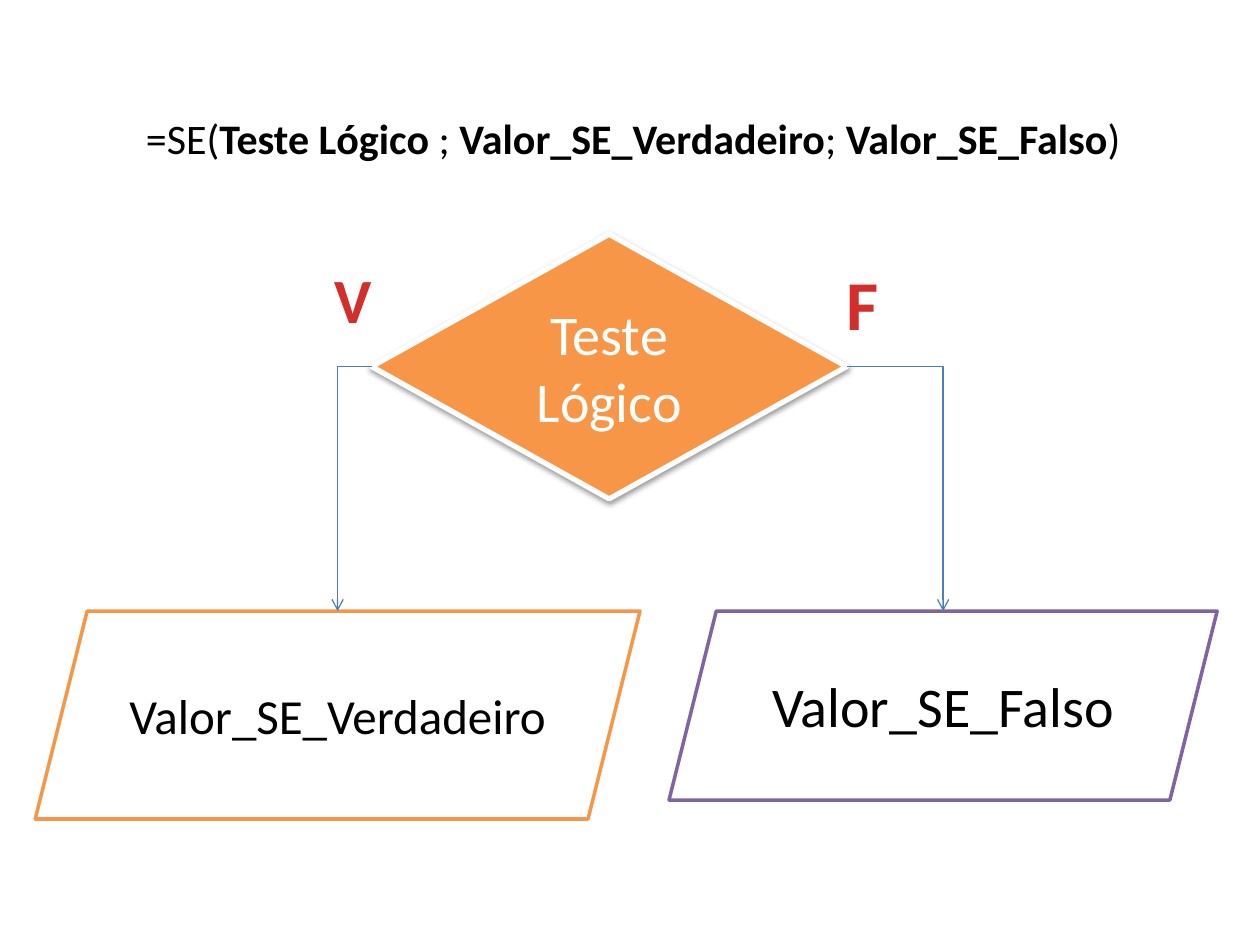
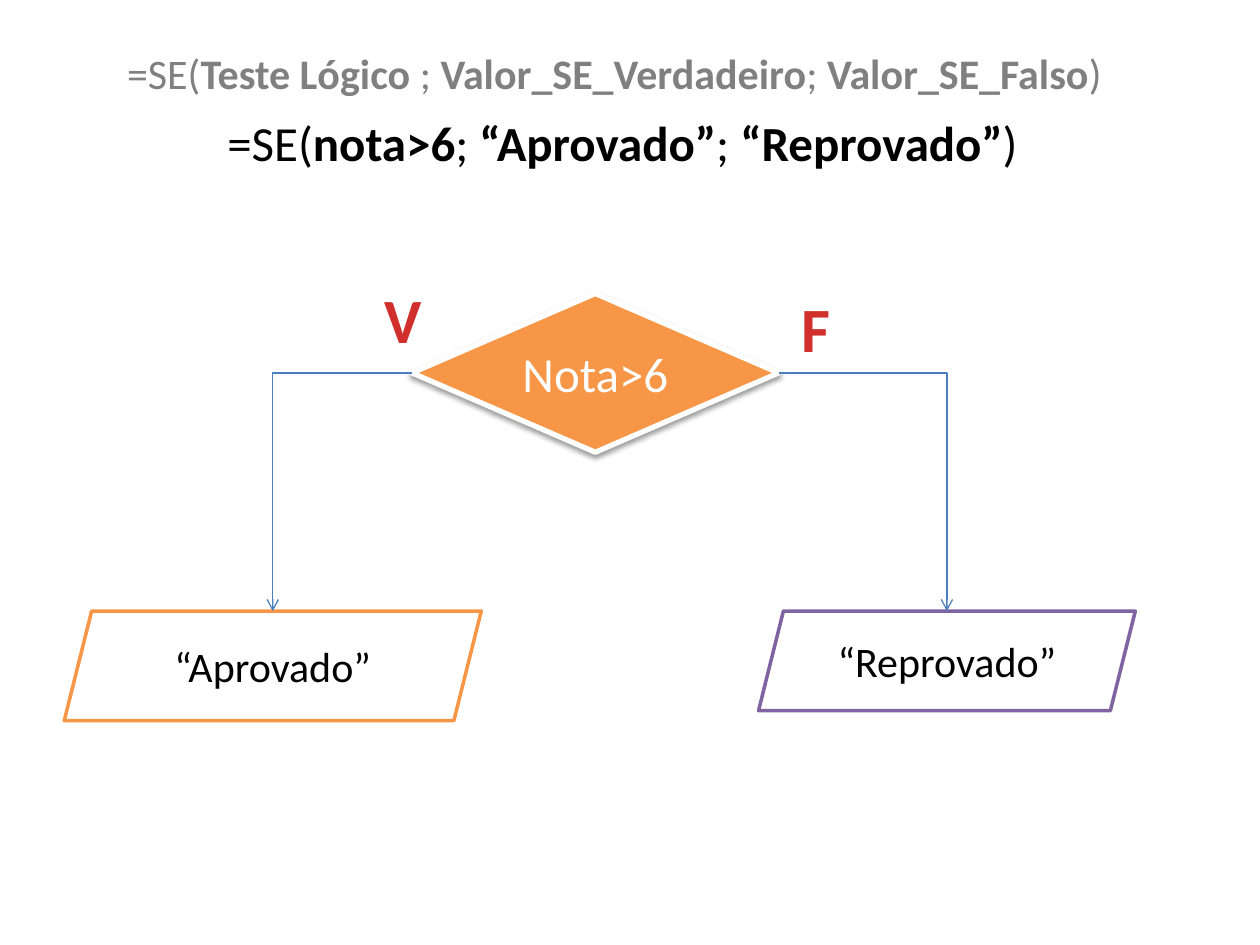
from lxml import etree
from pptx import Presentation
from pptx.dml.color import RGBColor
from pptx.enum.shapes import MSO_CONNECTOR, MSO_SHAPE
from pptx.enum.text import MSO_ANCHOR, MSO_AUTO_SIZE, PP_ALIGN
from pptx.oxml import parse_xml
from pptx.oxml.ns import nsdecls, qn
from pptx.util import Inches, Pt

DECISION, OUTCOME = MSO_SHAPE.FLOWCHART_DECISION, MSO_SHAPE.PARALLELOGRAM
ELBOW = MSO_CONNECTOR.ELBOW
LEFT, CENTER, MIDDLE = PP_ALIGN.LEFT, PP_ALIGN.CENTER, MSO_ANCHOR.MIDDLE
GROW = MSO_AUTO_SIZE.SHAPE_TO_FIT_TEXT
TOP_SITE, LEFT_SITE, RIGHT_SITE = 0, 1, 3

FONT = "Calibri"
COLORS = {"white": "FFFFFF", "black": "000000", "grey": "808080",
          "orange": "F79646", "purple": "8064A2", "arrow": "4B7EBC"}
LABEL_STOPS = [(0, "FC7C7A"), (75, "D02F2C"), (100, "C70500")]

# Content: boxes are left, top, width, height in inches
SYNTAX = ["Teste Lógico ", "Valor_SE_Verdadeiro", "Valor_SE_Falso"]
EXAMPLE = ["nota>6", "“Aprovado”", "“Reprovado”"]
SLIDES = [
    {
        "formulas": [(SYNTAX, (1.06, 0.84, 8.19, 0.5), 24, "black", LEFT)],
        "decision": ("Teste Lógico", (2.95, 1.86, 3.77, 2.1), 32),
        "branches": [
            ("V", (2.56, 2.02, 0.46, 0.71), 36,
             "Valor_SE_Verdadeiro", (0.28, 4.85, 4.8, 1.65), 28),
            ("F", (6.5, 2.02, 0.69, 0.77), 40,
             "Valor_SE_Falso", (5.31, 4.85, 4.35, 1.5), 32),
        ],
    },
    {
        "formulas": [(EXAMPLE, (1.3, 0.84, 7.28, 0.57), 28, "black", CENTER),
                     (SYNTAX, (0.91, 0.33, 8.19, 0.5), 24, "grey", LEFT)],
        "decision": ("Nota>6", (3.27, 2.33, 2.91, 1.26), 28),
        "branches": [
            ("V", (2.95, 2.18, 0.31, 0.71), 36,
             "“Aprovado”", (0.51, 4.85, 3.31, 0.87), 24),
            ("F", (6.26, 2.25, 0.39, 0.71), 36,
             "“Reprovado”", (6.02, 4.85, 2.99, 0.79), 24),
        ],
    },
]
# Exit site of the decision and outline of the outcome, true then false
BRANCH_STYLES = [(LEFT_SITE, "orange"), (RIGHT_SITE, "purple")]


def rgb(name):
    return RGBColor.from_string(COLORS[name])


def inches(box):
    return [Inches(v) for v in box]


def write(sp, runs, size, color=None, align=CENTER):
    """Write (text, bold) runs as one wrapped paragraph."""
    tf = sp.text_frame
    tf.word_wrap = True
    p = tf.paragraphs[0]
    p.alignment = align
    for text, bold in runs:
        r = p.add_run()
        r.text = text
        for name, value in {"name": FONT, "size": Pt(size), "bold": bold}.items():
            setattr(r.font, name, value)
        if color:
            r.font.color.rgb = rgb(color)
    return p


def add_text(s, box, *args):
    sp = s.shapes.add_textbox(*inches(box))
    p = write(sp, *args)
    sp.text_frame.auto_size = GROW
    return p


def add_formula(s, parts, box, size, color, align):
    test, if_true, if_false = parts
    runs = [("=SE(", False), (test, True), ("; ", False), (if_true, True),
            ("; ", False), (if_false, True), (")", False)]
    add_text(s, box, runs, size, color, align)


def add_label(s, text, box, size):
    """Bold letter with a vertical red gradient."""
    p = add_text(s, box, [(text, True)], size)
    stops = "".join(f'<a:gs pos="{pos * 1000}"><a:srgbClr val="{color}"/></a:gs>'
                    for pos, color in LABEL_STOPS)
    fill = parse_xml(f'<a:gradFill {nsdecls("a")}><a:gsLst>{stops}</a:gsLst>'
                     '<a:lin ang="5400000" scaled="0"/></a:gradFill>')
    p.runs[0].font._element.insert(0, fill)


def add_box(s, kind, text, box, size, fill, line, width, color):
    sp = s.shapes.add_shape(kind, *inches(box))
    sp.shadow.inherit = False
    sp.fill.solid()
    sp.fill.fore_color.rgb = rgb(fill)
    sp.line.color.rgb = rgb(line)
    sp.line.width = Pt(width)
    sp.text_frame.vertical_anchor = MIDDLE
    write(sp, [(text, False)], size, color)
    return sp


def add_decision(s, text, box, size):
    sp = add_box(s, DECISION, text, box, size, "orange", "white", 3, "white")
    effects = sp._element.spPr.find(qn("a:effectLst"))
    effects.append(parse_xml(
        f'<a:outerShdw {nsdecls("a")} blurRad="40000" dist="20000" dir="5400000"'
        ' rotWithShape="0"><a:srgbClr val="000000"><a:alpha val="38000"/>'
        '</a:srgbClr></a:outerShdw>'))
    return sp


def add_arrow(s, decision, site, outcome):
    """One-bend arrow from a side of the decision to the top of an outcome."""
    cx = s.shapes.add_connector(ELBOW, 0, 0, 0, 0)
    cx.begin_connect(decision, site)
    cx.end_connect(outcome, TOP_SITE)
    cx.line.color.rgb = rgb("arrow")
    cx.line.width = Pt(0.75)
    spPr = cx._element.spPr
    spPr.find(qn("a:prstGeom")).set("prst", "bentConnector2")
    etree.SubElement(spPr.find(qn("a:ln")), qn("a:tailEnd"), type="arrow")
    etree.SubElement(spPr, qn("a:effectLst"))


def main():
    prs = Presentation()
    prs.slide_width, prs.slide_height = Inches(10), Inches(7.5)
    for content in SLIDES:
        s = prs.slides.add_slide(prs.slide_layouts[6])
        decision = add_decision(s, *content["decision"])
        for formula in content["formulas"]:
            add_formula(s, *formula)
        for branch, (site, line) in zip(content["branches"], BRANCH_STYLES):
            label, label_box, label_size, text, box, size = branch
            add_label(s, label, label_box, label_size)
            outcome = add_box(s, OUTCOME, text, box, size, "white", line, 2, "black")
            add_arrow(s, decision, site, outcome)
    prs.save("out.pptx")


if __name__ == "__main__":
    main()
